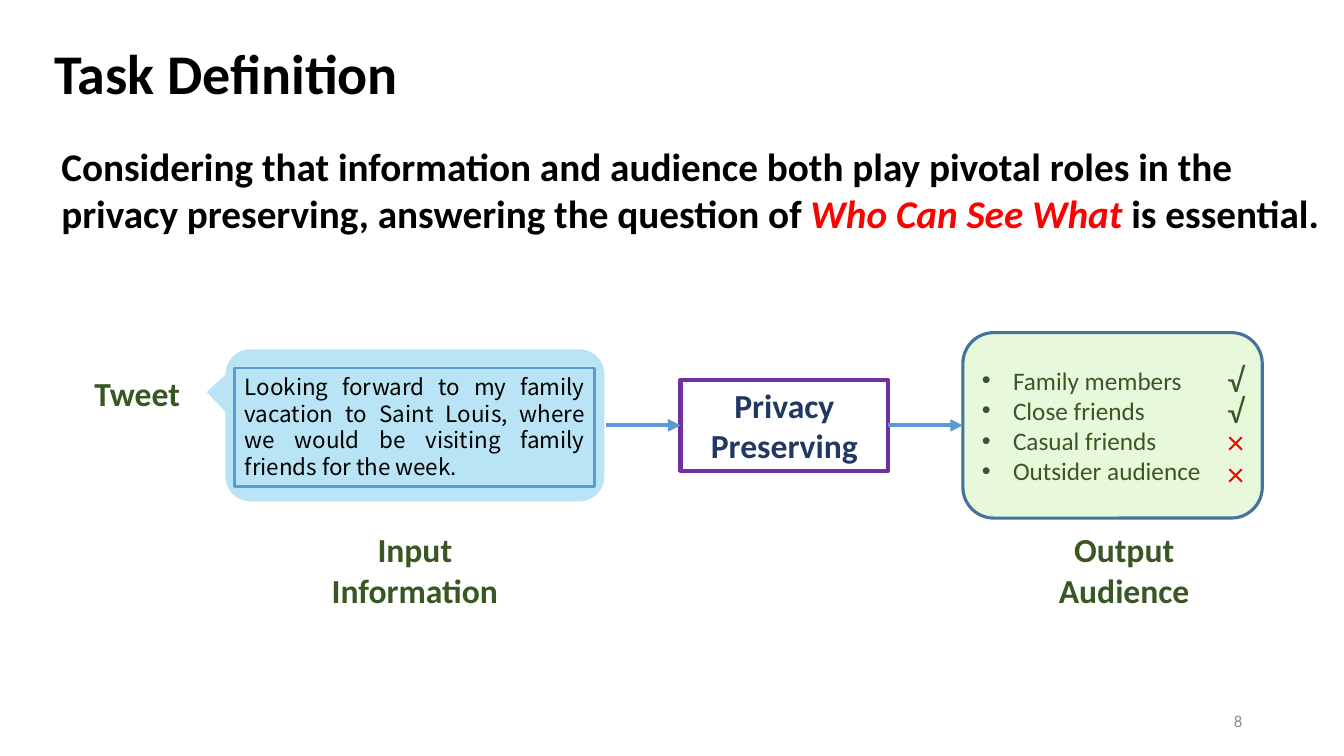
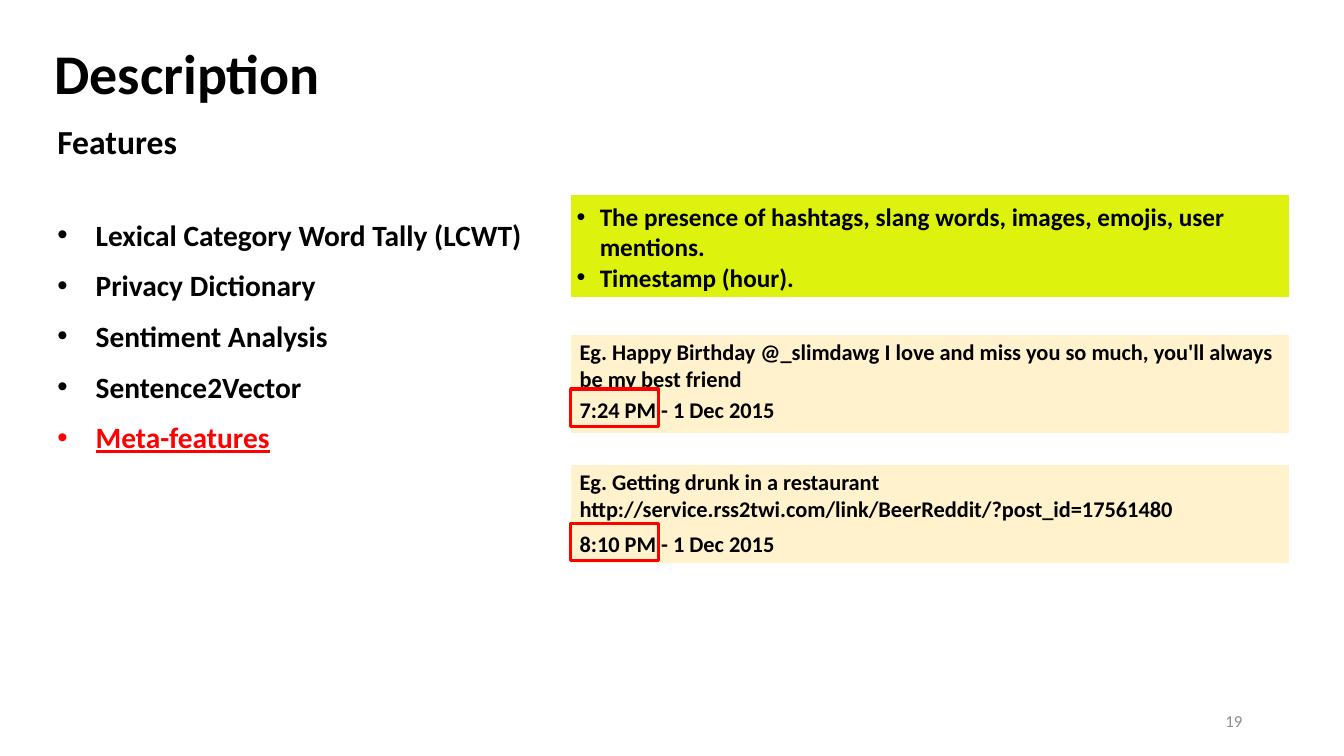
"""Build two slides on privacy preserving: the task definition and the features."""
from dataclasses import dataclass

from lxml.etree import SubElement
from pptx import Presentation
from pptx.dml.color import RGBColor
from pptx.enum.shapes import MSO_CONNECTOR, MSO_SHAPE
from pptx.enum.text import MSO_ANCHOR, PP_ALIGN
from pptx.oxml.ns import qn
from pptx.util import Inches, Pt


@dataclass(frozen=True)
class Theme:
    """Hold the colours, fonts and type sizes of the slides."""
    black: str = "000000"
    white: str = "FFFFFF"
    grey: str = "8C8C8C"
    red: str = "FF0000"
    green: str = "385723"
    navy: str = "203864"
    purple: str = "7030A0"
    blue: str = "5B9BD5"
    panel_blue: str = "43739E"
    sky: str = "19A7E1"
    mint: str = "E8F9DB"
    lime: str = "DDF30D"
    amber: str = "FFC000"
    font: str = "Calibri"
    tweet_font: str = "Noto Sans CJK SC"
    title: int = 40
    lead: int = 28
    label: int = 24
    feature: int = 21
    body: int = 18
    example: int = 16
    number: int = 12


THEME = Theme()


def style_run(run, size, color, bold=False, font=THEME.font):
    """Set the font of one run."""
    run.font.name = font
    run.font.size = Pt(size)
    run.font.bold = bold
    run.font.color.rgb = RGBColor.from_string(color)


def add_bullet(paragraph, indent):
    """Give a paragraph a round bullet with a hanging indent in inches."""
    properties = paragraph._p.get_or_add_pPr()
    properties.set("marL", str(Inches(indent)))
    properties.set("indent", str(-Inches(indent)))
    SubElement(properties, qn("a:buFont")).set("typeface", "Arial")
    SubElement(properties, qn("a:buChar")).set("char", "•")


def write_text(shape, text, size, color=THEME.black, bold=False, font=THEME.font,
               align=PP_ALIGN.LEFT, anchor=MSO_ANCHOR.TOP, bullet=None):
    """Write wrapped text into a shape and return its text frame."""
    frame = shape.text_frame
    frame.word_wrap = True
    frame.vertical_anchor = anchor
    frame.text = text
    for paragraph in frame.paragraphs:
        paragraph.alignment = align
        if bullet:
            add_bullet(paragraph, bullet)
        for run in paragraph.runs:
            style_run(run, size, color, bold, font)
    return frame


def add_text(slide, box, text, size, **options):
    """Add a text box at a box of left, top, width and height in inches."""
    shape = slide.shapes.add_textbox(*map(Inches, box))
    return write_text(shape, text, size, **options)


def add_panel(slide, kind, box, line, width, fill=None, opacity=None):
    """Add a preset shape with an outline and an optional fill."""
    shape = slide.shapes.add_shape(kind, *map(Inches, box))
    shape.shadow.inherit = False
    shape.line.color.rgb = RGBColor.from_string(line)
    shape.line.width = Pt(width)
    if fill is None:
        shape.fill.background()
        return shape
    shape.fill.solid()
    shape.fill.fore_color.rgb = RGBColor.from_string(fill)
    if opacity is not None:
        color = shape._element.spPr.find(qn("a:solidFill")).find(qn("a:srgbClr"))
        SubElement(color, qn("a:alpha")).set("val", str(opacity * 1000))
    return shape


def add_arrow(slide, start, end):
    """Add a horizontal arrow between two points in inches."""
    arrow = slide.shapes.add_connector(
        MSO_CONNECTOR.STRAIGHT, *map(Inches, (*start, *end)))
    arrow.line.color.rgb = RGBColor.from_string(THEME.blue)
    arrow.line.width = Pt(3)
    SubElement(arrow.line._get_or_add_ln(), qn("a:tailEnd")).set("type", "triangle")
    SubElement(arrow._element.spPr, qn("a:effectLst"))
    return arrow


def add_slide(presentation, title, number):
    """Add a blank slide with the shared title and slide number."""
    slide = presentation.slides.add_slide(presentation.slide_layouts[6])
    frame = add_text(slide, (0.39, 0.33, 10.54, 0.77), title, THEME.title, bold=True)
    frame.margin_left = Inches(0.15)
    add_text(slide, (9.42, 6.95, 3, 0.4), number, THEME.number, color=THEME.grey,
             align=PP_ALIGN.RIGHT, anchor=MSO_ANCHOR.MIDDLE)
    return slide


def add_label(slide, box, text):
    """Add a green centred diagram label."""
    add_text(slide, box, text, THEME.label, color=THEME.green, bold=True,
             align=PP_ALIGN.CENTER)


def add_tweet(slide):
    """Add the speech bubble with the outlined tweet."""
    bubble = add_panel(slide, MSO_SHAPE.ROUNDED_RECTANGULAR_CALLOUT,
                       (3.35, 2.33, 1.53, 3.78), THEME.white, 1.5, THEME.sky, 30)
    bubble.rotation = 90
    bubble.adjustments[0] = -0.216
    bubble.adjustments[1] = 0.551
    tweet = add_panel(slide, MSO_SHAPE.RECTANGLE, (2.33, 3.65, 3.57, 1.18),
                      THEME.blue, 2)
    frame = write_text(
        tweet, "Looking forward to my family vacation to Saint Louis, where we would "
        "be visiting family friends for the week.", THEME.example,
        font=THEME.tweet_font, align=PP_ALIGN.JUSTIFY)
    frame.paragraphs[0].line_spacing = Pt(19.2)


def add_audience(slide):
    """Add the audience panel with a mark for each group and return it."""
    groups = {"Family members": True, "Close friends": True,
              "Casual friends": False, "Outsider audience": False}
    panel = add_panel(slide, MSO_SHAPE.ROUNDED_RECTANGLE, (9.55, 3.3, 2.97, 1.84),
                      THEME.panel_blue, 2.25, THEME.mint)
    write_text(panel, "\n".join(groups), THEME.body, color=THEME.green,
               anchor=MSO_ANCHOR.MIDDLE, bullet=0.31)
    for row, allowed in enumerate(groups.values()):
        mark, color = ("√", THEME.green) if allowed else ("×", THEME.red)
        add_text(slide, (12.03, 3.51 + 0.31 * row, 0.45, 0.5), mark, THEME.label,
                 color=color, align=PP_ALIGN.CENTER)
    return panel


def build_task_slide(presentation):
    """Build the slide that defines the task."""
    slide = add_slide(presentation, "Task Definition", "8")
    lead = add_text(
        slide, (0.51, 1.36, 12.72, 1.04),
        "Considering that information and audience both play pivotal roles in the\n"
        "privacy preserving, answering the question of ", THEME.lead, bold=True)
    for text, color, italic in (("Who Can See What ", THEME.red, True),
                                ("is essential.", THEME.black, False)):
        run = lead.paragraphs[1].add_run()
        run.text = text
        style_run(run, THEME.lead, color, bold=True)
        run.font.italic = italic

    add_label(slide, (0.79, 3.65, 1.14, 0.5), "Tweet")
    add_label(slide, (3.13, 5.2, 1.97, 0.91), "Input\nInformation")
    add_label(slide, (10.35, 5.2, 1.6, 0.91), "Output\nAudience")
    add_tweet(slide)
    audience = add_audience(slide)
    process = add_panel(slide, MSO_SHAPE.RECTANGLE, (6.75, 3.77, 2.06, 0.9),
                        THEME.purple, 3)
    write_text(process, "Privacy Preserving", THEME.label, color=THEME.navy,
               bold=True, align=PP_ALIGN.CENTER)
    add_arrow(slide, (6.01, 4.22), (6.75, 4.22)).end_connect(process, 1)
    output_arrow = add_arrow(slide, (8.81, 4.22), (9.55, 4.22))
    output_arrow.begin_connect(process, 3)
    output_arrow.end_connect(audience, 1)


def add_example(slide, top, time_top, text, time):
    """Add an example post with its time of day outlined."""
    add_panel(slide, MSO_SHAPE.RECTANGLE, (5.65, top, 7.15, 1), THEME.white, 1.5,
              THEME.amber, 20)
    add_text(slide, (5.65, top, 7.15, 0.64), text, THEME.example, bold=True)
    add_text(slide, (5.65, time_top, 2.3, 0.37), time, THEME.example, bold=True)
    add_panel(slide, MSO_SHAPE.RECTANGLE, (5.66, time_top - 0.02, 0.87, 0.37),
              THEME.red, 2.25)


def build_features_slide(presentation):
    """Build the slide that describes the features."""
    slide = add_slide(presentation, "Description", "19")
    add_text(slide, (0.47, 1.15, 6.67, 0.5), "Features", THEME.label, bold=True)
    features = add_text(
        slide, (0.47, 2.1, 5.15, 2.47),
        "Lexical Category Word Tally (LCWT)\nPrivacy Dictionary\n"
        "Sentiment Analysis\nSentence2Vector\nMeta-features",
        THEME.feature, bold=True, bullet=0.38)
    for paragraph in features.paragraphs[1:]:
        paragraph.space_before = Pt(11)
    current = features.paragraphs[-1].runs[0]
    style_run(current, THEME.feature, THEME.red, bold=True)
    current.font.underline = True

    add_panel(slide, MSO_SHAPE.RECTANGLE, (5.65, 1.92, 7.15, 1.04), THEME.white, 1.5,
              THEME.lime)
    add_text(slide, (5.62, 1.95, 7.28, 1.01),
             "The presence of hashtags, slang words, images, emojis, user mentions.\n"
             "Timestamp (hour).", THEME.body, bold=True, bullet=0.23)
    add_example(slide, 3.31, 3.88,
                "Eg. Happy Birthday @_slimdawg I love and miss you so much, "
                "you'll always be my best friend", "7:24 PM - 1 Dec 2015")
    add_example(slide, 4.6, 5.21,
                "Eg. Getting drunk in a restaurant "
                "http://service.rss2twi.com/link/BeerReddit/?post_id=17561480",
                "8:10 PM - 1 Dec 2015")


def main():
    """Build the presentation and save it."""
    presentation = Presentation()
    presentation.slide_width = Inches(13.33)
    presentation.slide_height = Inches(7.5)
    build_task_slide(presentation)
    build_features_slide(presentation)
    presentation.save("out.pptx")


if __name__ == "__main__":
    main()
